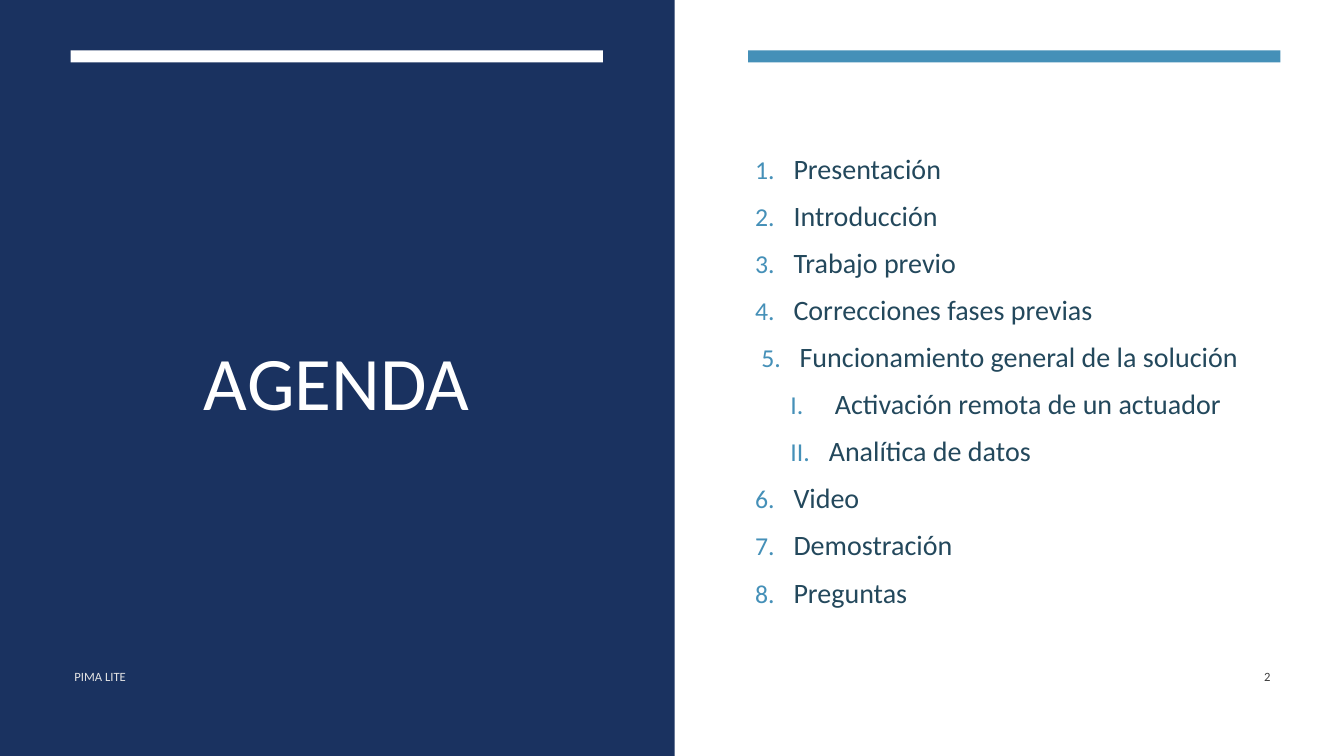
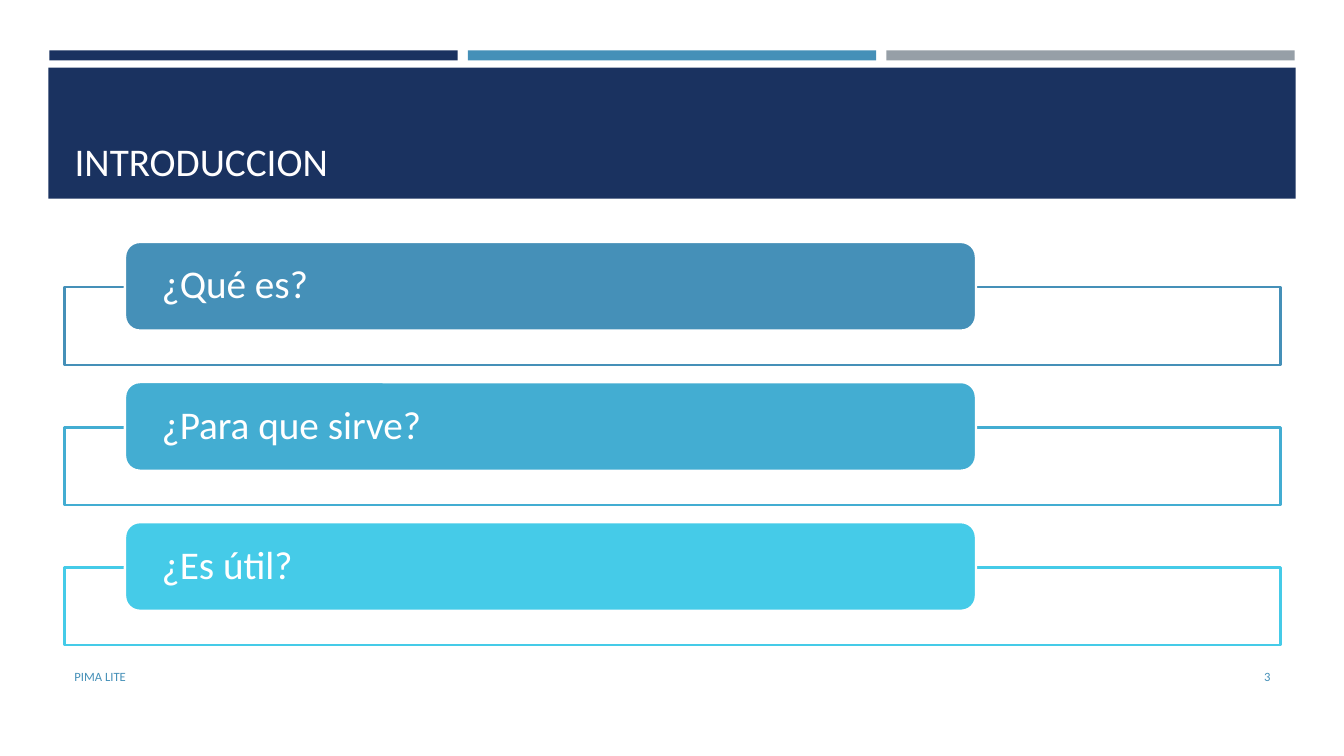
from dataclasses import dataclass

from lxml import etree
from pptx import Presentation
from pptx.dml.color import RGBColor
from pptx.enum import shapes, text
from pptx.oxml.ns import qn
from pptx.util import Inches, Pt

FONT = "Calibri"
COLORS = {
    "navy": "1A3260",
    "blue": "4590B8",
    "sky": "43ADD2",
    "cyan": "45CBE8",
    "gray": "969FA7",
    "white": "FFFFFF",
    "title": "FFFEFF",
    "ink": "23485C",
    "pale": "E4E4E4",
    "dark": "3D3D3D",
}
ANCHOR = text.MSO_ANCHOR
ALIGN = text.PP_ALIGN
SHAPE = shapes.MSO_SHAPE


@dataclass(frozen=True)
class Box:
    left: float
    top: float
    width: float
    height: float

    def lengths(self) -> tuple:
        return tuple(Inches(v) for v in (self.left, self.top, self.width, self.height))


@dataclass(frozen=True)
class AgendaItem:
    label: str
    level: int = 0
    margin: float = 0.38
    hanging: float = 0.38


@dataclass(frozen=True)
class Question:
    label: str
    color: str


AGENDA = [
    AgendaItem("Presentación"),
    AgendaItem("Introducción"),
    AgendaItem("Trabajo previo"),
    AgendaItem("Correcciones fases previas"),
    AgendaItem("Funcionamiento general de la solución", 0, 0.44, 0.38),
    AgendaItem("Activación remota de un actuador", 1, 0.79, 0.44),
    AgendaItem("Analítica de datos", 1, 0.73, 0.38),
    AgendaItem("Video"),
    AgendaItem("Demostración"),
    AgendaItem("Preguntas"),
]
QUESTIONS = [
    Question("¿Qué es?", "blue"),
    Question("¿Para que sirve?", "sky"),
    Question("¿Es útil?", "cyan"),
]


def rgb(color: str) -> RGBColor:
    return RGBColor.from_string(COLORS[color])


def add_run(p, label: str, size: float, color: str) -> None:
    r = p.add_run()
    r.text = label
    r.font.name = FONT
    r.font.size = Pt(size)
    r.font.color.rgb = rgb(color)


def add_box(slide, box: Box, fill: str, line: str | None = None, kind=SHAPE.RECTANGLE):
    sp = slide.shapes.add_shape(kind, *box.lengths())
    sp.shadow.inherit = False
    sp.fill.solid()
    sp.fill.fore_color.rgb = rgb(fill)
    if line:
        sp.line.color.rgb = rgb(line)
        sp.line.width = Pt(1.75)
    else:
        sp.line.fill.background()
    return sp


def place(slide, sp, box: Box, anchor):
    """Move a placeholder to its box, in front of the bands, and return its text frame."""
    sp.left, sp.top, sp.width, sp.height = box.lengths()
    slide.shapes._spTree.append(sp._element)
    tf = sp.text_frame
    tf.word_wrap = True
    tf.auto_size = text.MSO_AUTO_SIZE.NONE
    tf.vertical_anchor = anchor
    return tf


def add_title(slide, label: str, box: Box, size: float, color: str, align, anchor) -> None:
    p = place(slide, slide.shapes.title, box, anchor).paragraphs[0]
    p.alignment = align
    add_run(p, label, size, color)


def add_footer(slide, number: int, name_color: str, number_color: str) -> None:
    parts = [
        ("PIMA LITE", Box(0.64, 6.51, 5.9, 0.4), name_color, ALIGN.LEFT),
        (str(number), Box(11.55, 6.51, 1.15, 0.4), number_color, ALIGN.RIGHT),
    ]
    for label, box, color, align in parts:
        tf = slide.shapes.add_textbox(*box.lengths()).text_frame
        tf.word_wrap = True
        tf.vertical_anchor = ANCHOR.MIDDLE
        p = tf.paragraphs[0]
        p.alignment = align
        p.space_after = Pt(6)
        add_run(p, label, 9, color)


def set_number(p, item: AgendaItem) -> None:
    """Give a paragraph a hanging automatic number: 1. or, one level down, I."""
    pPr = p._p.get_or_add_pPr()
    pPr.set("marL", str(Inches(item.margin)))
    pPr.set("indent", str(-Inches(item.hanging)))
    color = etree.SubElement(pPr, qn("a:buClr"))
    etree.SubElement(color, qn("a:srgbClr"), val=COLORS["blue"])
    etree.SubElement(pPr, qn("a:buSzPct"), val="92000")
    etree.SubElement(pPr, qn("a:buFont"), typeface="+mj-lt")
    kind = "romanUcPeriod" if item.level else "arabicPeriod"
    etree.SubElement(pPr, qn("a:buAutoNum"), type=kind)


def build_agenda(prs) -> None:
    slide = prs.slides.add_slide(prs.slide_layouts[1])
    body = slide.placeholders[1]
    add_box(slide, Box(0, 0, 6.69, 7.5), "navy")
    for left, color in ((0.7, "white"), (7.42, "blue")):
        add_box(slide, Box(left, 0.5, 5.28, 0.12), color)
    add_title(slide, "AGENDA", Box(0.7, 1.13, 5.28, 5.28), 54, "white",
              ALIGN.CENTER, ANCHOR.MIDDLE)

    tf = place(slide, body, Box(7.39, 1.13, 5.31, 5.28), ANCHOR.MIDDLE)
    for i, item in enumerate(AGENDA):
        p = tf.add_paragraph() if i else tf.paragraphs[0]
        p.level = item.level
        set_number(p, item)
        p.space_before = Pt(3.6 if i else 0)
        p.space_after = Pt(6)
        add_run(p, item.label, 20, "ink")
    add_footer(slide, 2, "pale", "dark")


def build_introduction(prs) -> None:
    slide = prs.slides.add_slide(prs.slide_layouts[5])
    for i, color in enumerate(("navy", "blue", "gray")):
        add_box(slide, Box(0.49 + 4.15 * i, 0.5, 4.05, 0.1), color)
    add_box(slide, Box(0.48, 0.67, 12.37, 1.3), "navy")
    add_title(slide, "INTRODUCCION", Box(0.64, 0.77, 12.06, 1.11), 28, "title",
              ALIGN.LEFT, ANCHOR.BOTTOM)
    add_footer(slide, 3, "blue", "blue")

    for i, question in enumerate(QUESTIONS):
        offset = 1.39 * i
        add_box(slide, Box(0.64, 2.85 + offset, 12.06, 0.77), "white", question.color)
        sp = add_box(slide, Box(1.24, 2.4 + offset, 8.44, 0.88), question.color,
                     "white", SHAPE.ROUNDED_RECTANGLE)
        tf = sp.text_frame
        tf.margin_left = tf.margin_right = Inches(0.32)
        tf.margin_top = tf.margin_bottom = 0
        tf.vertical_anchor = ANCHOR.MIDDLE
        p = tf.paragraphs[0]
        p.alignment = ALIGN.LEFT
        p.line_spacing = 0.9
        add_run(p, question.label, 28, "white")


def main() -> None:
    prs = Presentation()
    prs.slide_width, prs.slide_height = Inches(13.33), Inches(7.5)
    build_agenda(prs)
    build_introduction(prs)
    prs.save("out.pptx")


if __name__ == "__main__":
    main()
